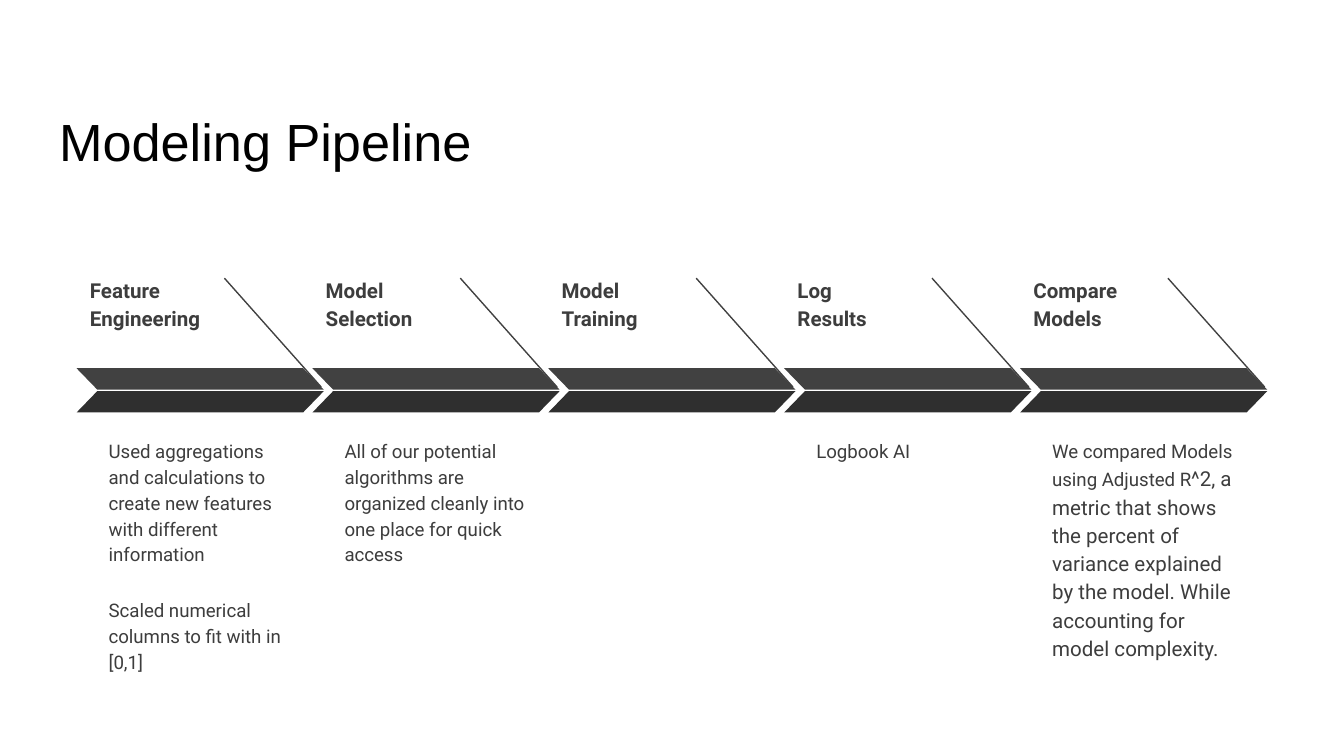
"""Builds the Modeling Pipeline slide: five chevron stages with headings and notes."""
import pptx
import pptx.dml.color
import pptx.enum.shapes
import pptx.enum.text
import pptx.oxml.ns
import pptx.util
import lxml.etree

COLORS = {"title": "000000", "text": "3D3D3D", "upper": "414141", "lower": "2F2F2F"}
HEADING = {"name": "Roboto", "size": pptx.util.Pt(11), "bold": True}
NOTE = {"name": "Roboto", "size": pptx.util.Pt(10), "bold": False}
NOTE_LARGE = {**NOTE, "size": pptx.util.Pt(11)}
TITLE = {"name": "Arial", "size": pptx.util.Pt(28), "bold": False}

STAGES = [
    (["Feature Engineering"],
     [[("Used aggregations and calculations to create new features with different information", NOTE)],
      [("Scaled numerical columns to fit with in [0,1]", NOTE)]]),
    (["Model Selection"],
     [[("All of our potential algorithms are organized cleanly into one place for quick access", NOTE)]]),
    (["Model", "Training"], []),
    (["Log", "Results"], [[("Logbook AI", NOTE)]]),
    (["Compare", "Models"],
     [[("We compared Models using Adjusted R", NOTE),
       ("^2, a metric that shows the percent of variance explained by the model. "
        "While accounting for model complexity.", NOTE_LARGE)]]),
]

SLIDE_WIDTH = 10
SLIDE_HEIGHT = SLIDE_WIDTH * 9 / 16
FIRST_LEFT, LAST_LEFT = 0.57, 7.59
PITCH = (LAST_LEFT - FIRST_LEFT) / (len(STAGES) - 1)
BAND_WIDTH, BAND_HEIGHT = 1.84, 0.16


def inches(*values):
    """Convert numbers to lengths in inches."""
    return [pptx.util.Inches(value) for value in values]


def rgb(key):
    """Look up a colour by its role."""
    return pptx.dml.color.RGBColor.from_string(COLORS[key])


def set_values(obj, values):
    """Set attributes from a dict of format values."""
    for name, value in values.items():
        setattr(obj, name, value)


def format_frame(tf):
    """Give a text frame equal insets, wrapping and a top anchor."""
    inset = pptx.util.Inches(0.1)
    set_values(tf, {
        "margin_left": inset, "margin_right": inset,
        "margin_top": inset, "margin_bottom": inset,
        "word_wrap": True,
        "auto_size": pptx.enum.text.MSO_AUTO_SIZE.NONE,
        "vertical_anchor": pptx.enum.text.MSO_ANCHOR.TOP,
    })


def add_run(p, text, style, color):
    """Append a formatted run to a paragraph."""
    r = p.add_run()
    r.text = text
    set_values(r.font, style)
    r.font.color.rgb = rgb(color)


def add_text(shapes, box, paragraphs, gap=0):
    """Add a text box whose paragraphs are lists of (text, style) runs."""
    tf = shapes.add_textbox(*inches(*box)).text_frame
    format_frame(tf)
    for i, runs in enumerate(paragraphs):
        p = tf.paragraphs[0] if i == 0 else tf.add_paragraph()
        p.line_spacing = 1.15
        if i:
            p.space_before = pptx.util.Pt(gap)
        for text, style in runs:
            add_run(p, text, style, "text")


def add_band(shapes, left, top, color, flipped=False):
    """Add one slanted half of a chevron."""
    sp = shapes.add_shape(pptx.enum.shapes.MSO_SHAPE.PARALLELOGRAM,
                          *inches(left, top, BAND_WIDTH, BAND_HEIGHT))
    sp.adjustments[0] = 0.97
    sp.shadow.inherit = False
    sp.fill.solid()
    sp.fill.fore_color.rgb = rgb(color)
    sp.line.fill.background()
    if flipped:
        sp._element.spPr.find(pptx.oxml.ns.qn("a:xfrm")).set("flipH", "1")


def add_divider(shapes, left):
    """Add the slanted line that runs down to the chevron's tip."""
    line = shapes.add_connector(pptx.enum.shapes.MSO_CONNECTOR.STRAIGHT,
                                *inches(left + 1.1, 2.07, left + 1.82, 2.88))
    line.line.color.rgb = rgb("upper")
    line.line.width = pptx.util.Pt(0.75)
    lxml.etree.SubElement(line._element.spPr, pptx.oxml.ns.qn("a:effectLst"))


def add_stage(s, column, heading, notes):
    """Add one grouped pipeline stage in the given column."""
    shapes = s.shapes.add_group_shape().shapes
    left = FIRST_LEFT + column * PITCH
    add_text(shapes, (left, 1.94, 1.15, 0.26), [[(line, HEADING)] for line in heading])
    add_band(shapes, left, 2.74, "upper", flipped=True)
    add_band(shapes, left, 2.91, "lower")
    if notes:
        add_text(shapes, (left + 0.14, 3.15, 1.55, 1.32), notes, gap=16)
    add_divider(shapes, left)


def add_title(s, text):
    """Place and format the title placeholder."""
    title = s.shapes.title
    title.left, title.top, title.width, title.height = inches(0.34, 0.71, 9.32, 0.63)
    format_frame(title.text_frame)
    p = title.text_frame.paragraphs[0]
    p.alignment = pptx.enum.text.PP_ALIGN.LEFT
    add_run(p, text, TITLE, "title")


def main():
    """Build and save the slide."""
    prs = pptx.Presentation()
    prs.slide_width, prs.slide_height = inches(SLIDE_WIDTH, SLIDE_HEIGHT)
    s = prs.slides.add_slide(prs.slide_layouts.get_by_name("Title Only"))
    add_title(s, "Modeling Pipeline")
    for column, (heading, notes) in enumerate(STAGES):
        add_stage(s, column, heading, notes)
    prs.save("out.pptx")


if __name__ == "__main__":
    main()
